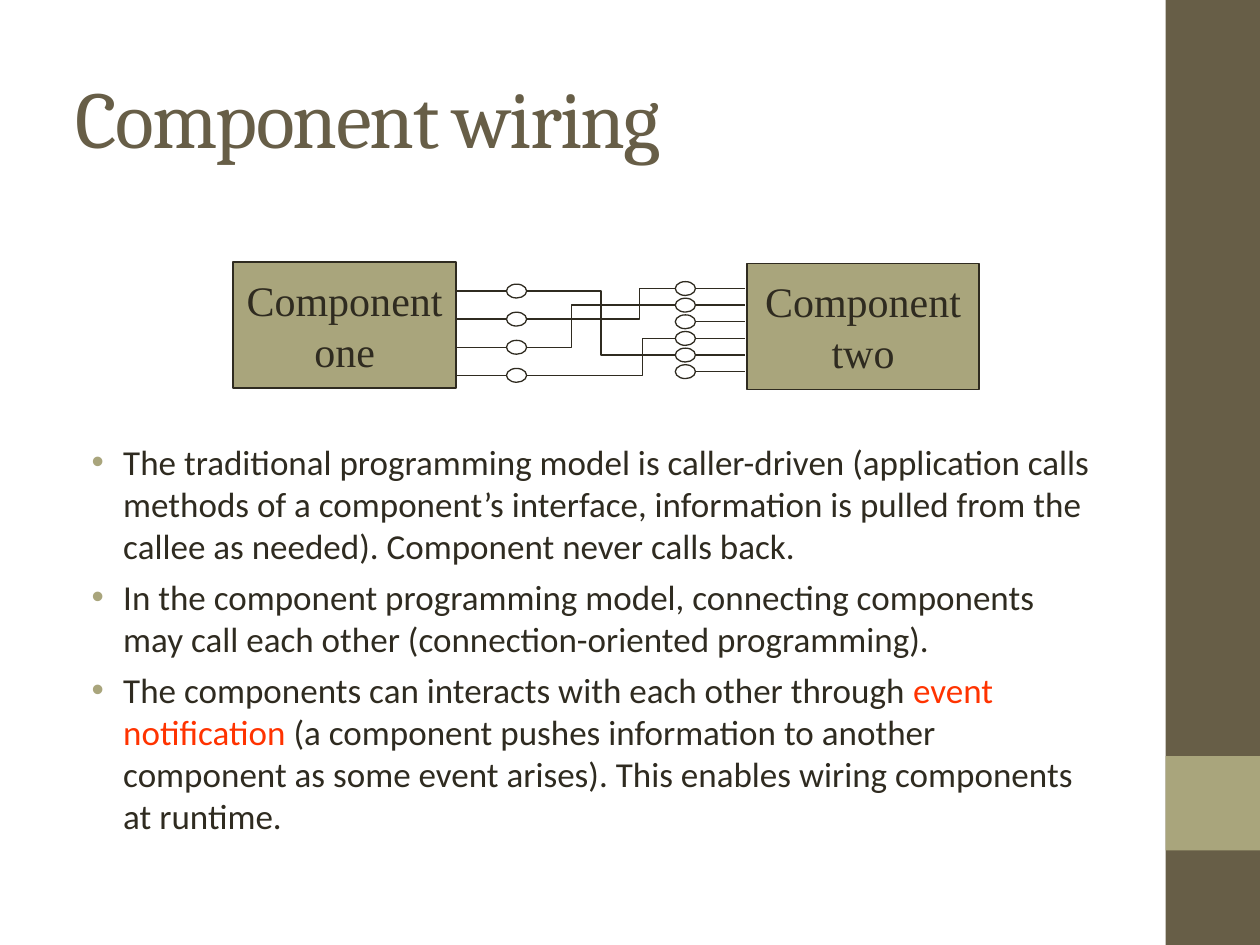
from pptx import Presentation
from pptx.dml.color import RGBColor
from pptx.enum.shapes import MSO_CONNECTOR as LINK, MSO_SHAPE as SHAPE
from pptx.enum.text import MSO_ANCHOR as ANCHOR, PP_ALIGN as ALIGN
from pptx.oxml.ns import qn
from pptx.util import Inches, Pt
from lxml.etree import SubElement

BROWN, SAND, INK, RED, WHITE = "675E47", "A9A57C", "2F2B20", "FF3300", "FFFFFF"
LINE_WIDTH = 0.74
PORT_W, PORT_H = 0.16, 0.11

BULLETS = [
    [("The traditional programming model is caller-driven (application calls "
      "methods of a component\u2019s interface, information is pulled from the "
      "callee as needed). Component never calls back.", INK)],
    [("In the component programming model, connecting components may call "
      "each other (connection-oriented programming).", INK)],
    [("The components can interacts with each other through ", INK),
     ("event notification ", RED),
     ("(a component pushes information to another component as some event "
      "arises). This enables wiring components at runtime.", INK)],
]
# left port, right port, share of the width at which the wire bends
WIRES = [(0, 4, 0.5), (1, 0, 0.76), (2, 1, 0.3), (3, 3, 0.78)]


def rgb(value):
    """Turn a hex string into a colour."""
    return RGBColor.from_string(value)


def add_box(slide, kind, box, fill, line=None):
    """Draw a flat preset shape in a box of left, top, width, height."""
    shape = slide.shapes.add_shape(kind, *map(Inches, box))
    shape.shadow.inherit = False
    shape.fill.solid()
    shape.fill.fore_color.rgb = rgb(fill)
    if line:
        shape.line.color.rgb = rgb(line)
        shape.line.width = Pt(LINE_WIDTH)
    else:
        shape.line.fill.background()
    return shape


def add_link(slide, start, end, bend=None):
    """Join two points by a straight line, or by an elbow that bends."""
    kind = LINK.STRAIGHT if bend is None else LINK.ELBOW
    link = slide.shapes.add_connector(kind, *map(Inches, (*start, *end)))
    link.line.color.rgb = rgb(INK)
    link.line.width = Pt(LINE_WIDTH)
    properties = link._element.spPr
    SubElement(properties, qn("a:effectLst"))
    if bend is not None:
        guides = properties.find(qn("a:prstGeom")).get_or_add_avLst()
        SubElement(guides, qn("a:gd"), name="adj1",
                   fmla=f"val {round(bend * 100000)}")


def write(paragraph, text, font, size, color, align=ALIGN.LEFT, spacing=None):
    """Add one formatted run to a paragraph."""
    paragraph.alignment = align
    run = paragraph.add_run()
    run.text = text
    run.font.name = font
    run.font.size = Pt(size)
    run.font.color.rgb = rgb(color)
    if spacing is not None:
        run.font._element.set("spc", str(round(spacing * 100)))


def set_bullet(paragraph, color, indent, hanging):
    """Give a paragraph a coloured round bullet."""
    properties = paragraph._p.get_or_add_pPr()
    properties.set("marL", str(Inches(indent)))
    properties.set("indent", str(-Inches(hanging)))
    bullet_color = SubElement(properties, qn("a:buClr"))
    SubElement(bullet_color, qn("a:srgbClr"), val=color)
    SubElement(properties, qn("a:buFont"), typeface="Arial")
    SubElement(properties, qn("a:buChar"), char="\u2022")


def add_text_frame(slide, box, anchor):
    """Add a wrapping text box and return its frame."""
    frame = slide.shapes.add_textbox(*map(Inches, box)).text_frame
    frame.word_wrap = True
    frame.vertical_anchor = anchor
    return frame


def add_sidebar(slide, left, top, width, height):
    """Draw the side band with its lighter block."""
    add_box(slide, SHAPE.RECTANGLE, (left, top, width, height), BROWN)
    add_box(slide, SHAPE.RECTANGLE,
            (left, top + height * 0.8, width, height * 0.1), SAND)


def add_title(slide, box):
    """Write the slide heading."""
    frame = add_text_frame(slide, box, ANCHOR.MIDDLE)
    write(frame.paragraphs[0], "Component wiring", "Cambria", 46, BROWN,
          spacing=-1)


def add_component(slide, box, words):
    """Draw a component with one word on each line."""
    frame = add_box(slide, SHAPE.RECTANGLE, box, SAND, INK).text_frame
    frame.word_wrap = False
    frame.vertical_anchor = ANCHOR.MIDDLE
    for number, word in enumerate(words):
        paragraph = frame.add_paragraph() if number else frame.paragraphs[0]
        write(paragraph, word, "Times New Roman", 24, INK, ALIGN.CENTER)


def add_ports(slide, edge, center, first, step, count):
    """Draw a column of ports with leads to an edge; return their heights."""
    rows = [first + step * number for number in range(count)]
    for row in rows:
        add_link(slide, (edge, row), (center, row))
        add_box(slide, SHAPE.OVAL, (center - PORT_W / 2, row - PORT_H / 2,
                                    PORT_W, PORT_H), WHITE, INK)
    return rows


def add_wiring(slide, left, top):
    """Draw both components, their ports and the wires between them."""
    add_component(slide, (left, top, 1.77, 1), ("Component", "one"))
    add_component(slide, (left + 4.08, top + 0.01, 1.84, 1),
                  ("Component", "two"))
    out_x, in_x = left + 2.25, left + 3.59
    outputs = add_ports(slide, left + 1.78, out_x, top + 0.23, 0.223, 4)
    inputs = add_ports(slide, left + 4.06, in_x, top + 0.21, 0.132, 6)
    for source, target, bend in WIRES:
        add_link(slide, (out_x + PORT_W / 2, outputs[source]),
                 (in_x - PORT_W / 2, inputs[target]), bend)


def add_bullets(slide, box):
    """Write the bulleted body text."""
    frame = add_text_frame(slide, box, ANCHOR.TOP)
    for number, runs in enumerate(BULLETS):
        paragraph = frame.add_paragraph() if number else frame.paragraphs[0]
        paragraph.space_before = Pt(5 if number else 0)
        set_bullet(paragraph, SAND, 0.38, 0.25)
        for text, color in runs:
            write(paragraph, text, "Calibri", 20, color)


def main():
    """Build the slide and save it."""
    deck = Presentation()
    deck.slide_width, deck.slide_height = Inches(10), Inches(7.5)
    slide = deck.slides.add_slide(deck.slide_layouts[6])
    add_sidebar(slide, 9.25, 0, 0.75, 7.5)
    add_wiring(slide, 1.85, 2.08)
    add_title(slide, (0.5, 0.3, 8.33, 1.25))
    add_bullets(slide, (0.5, 3.45, 8.33, 3.55))
    deck.save("out.pptx")


main()
